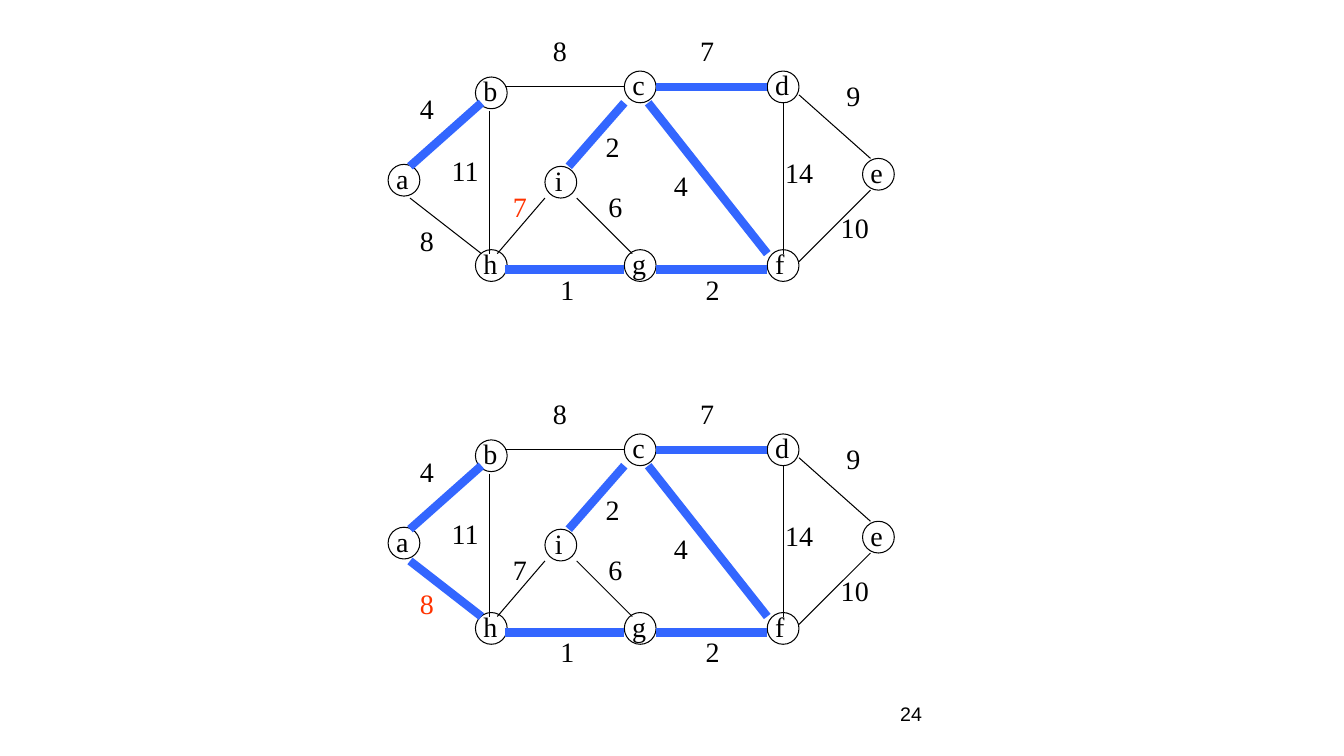
from lxml.etree import SubElement
from pptx import Presentation
from pptx.dml.color import RGBColor
from pptx.enum.shapes import MSO_CONNECTOR as Connector, MSO_SHAPE as Shape
from pptx.enum.text import MSO_ANCHOR as Anchor, MSO_AUTO_SIZE as AutoSize
from pptx.oxml.ns import qn
from pptx.util import Inches, Pt

COLORS = {"ink": "000000", "tree": "3366FF", "current": "FF3300"}
SLIDE_W, SLIDE_H = 13.33, 7.5

# Each graph lies on a grid 64 columns wide; a node's position is its centre.
COLUMNS = 64
ORIGIN = (3, 7.4)
NODE_SIZE = 4
NODES = {
    "a": (-0.75, 11.75), "b": (10.25, 0.75), "h": (10.25, 22.5),
    "c": (29, 0), "d": (47, 0), "e": (59, 11),
    "f": (47, 22.5), "g": (29, 22.5), "i": (19, 12),
}
NODE_LABEL_WIDTHS = {"a": 0.32, "c": 0.32, "e": 0.32, "f": 0.29, "i": 0.28}
# Edge: (start, end, weight, top left of the weight)
EDGES = {
    "ab": ((0, 10), (9, 2), 4, (0, 0)),
    "ah": ((0, 14), (9, 21), 8, (0, 16.6)),
    "bh": ((10, 3), (10, 21), 11, (4, 7.75)),
    "bc": ((12, 0), (27, 0), 8, (16.75, -7.4)),
    "hg": ((12, 23), (27, 23), 1, (17.7, 22.7)),
    "gf": ((31, 23), (45, 23), 2, (36, 22.7)),
    "cf": ((30, 2), (45, 21), 4, (32, 9.7)),
    "cd": ((31, 0), (45, 0), 7, (35.3, -7.4)),
    "df": ((47, 2), (47, 21), 14, (46, 8)),
    "de": ((49, 1), (58, 9), 9, (53.7, -1.7)),
    "fe": ((49, 22), (58, 13), 10, (53, 15)),
    "ig": ((21, 14), (28, 21), 6, (23.75, 12.3)),
    "hi": ((11, 21), (17, 14), 7, (11.7, 12.3)),
    "ic": ((20, 10), (27, 2), 2, (23.4, 4.7)),
}
TREE = {"ab", "hg", "gf", "cf", "cd", "ic"}


def rgb(name):
    return RGBColor.from_string(COLORS[name])


def add_text(shapes, text, x, y, width, height, color="ink",
             font="Times New Roman", size=20):
    box = shapes.add_textbox(Inches(x), Inches(y), Inches(width), Inches(height))
    run = box.text_frame.paragraphs[0].add_run()
    run.text = text
    run.font.name = font
    run.font.size = Pt(size)
    run.font.color.rgb = rgb(color)
    return box.text_frame


def add_label(shapes, text, x, y, width, color="ink"):
    """Add a one-line label whose box hugs its text."""
    frame = add_text(shapes, text, x, y, width, 0.44, color)
    frame.word_wrap = False
    frame.auto_size = AutoSize.SHAPE_TO_FIT_TEXT


def add_edge(shapes, start, end, in_tree):
    edge = shapes.add_connector(Connector.STRAIGHT, *map(Inches, start + end))
    edge.line.color.rgb = rgb("tree" if in_tree else "ink")
    edge.line.width = Pt(6 if in_tree else 0.75)
    SubElement(edge._element.spPr, qn("a:effectLst"))


def add_node(shapes, name, x, y, diameter):
    """Add a ringed letter; x and y are the ring's top left corner."""
    nudge = 0 if name == "i" else 0.02
    add_label(shapes, name, x - nudge, y - 0.08, NODE_LABEL_WIDTHS.get(name, 0.34))
    ring = shapes.add_shape(Shape.OVAL, *map(Inches, (x, y, diameter, diameter)))
    ring.shadow.inherit = False
    ring.fill.background()
    ring.line.color.rgb = rgb("ink")
    ring.line.width = Pt(0.75)


def add_graph(slide, left, top, width, tree, current):
    """Draw the weighted graph with its tree edges and the current edge's weight marked."""
    shapes = slide.shapes.add_group_shape().shapes
    unit = width / COLUMNS

    def place(point):
        return (left + (ORIGIN[0] + point[0]) * unit,
                top + (ORIGIN[1] + point[1]) * unit)

    for name, (column, row) in NODES.items():
        corner = place((column - NODE_SIZE / 2, row - NODE_SIZE / 2))
        add_node(shapes, name, *corner, NODE_SIZE * unit)
    for name, (start, end, _, _) in EDGES.items():
        add_edge(shapes, place(start), place(end), name in tree)
    for name, (_, _, weight, spot) in EDGES.items():
        add_label(shapes, str(weight), *place(spot), 0.34 if weight < 10 else 0.48,
                  "current" if name == current else "ink")


def add_page_number(slide, number, x, y, width, height):
    frame = add_text(slide.shapes, number, x, y, width, height, font="Arial", size=14)
    frame.word_wrap = True
    frame.vertical_anchor = Anchor.MIDDLE


def main():
    deck = Presentation()
    deck.slide_width, deck.slide_height = Inches(SLIDE_W), Inches(SLIDE_H)
    slide = deck.slides.add_slide(deck.slide_layouts[6])
    add_page_number(slide, "24", 8.83, 6.83, 2.08, 0.5)
    steps = [(TREE, "hi"), (TREE | {"ah"}, "ah")]
    for step, (tree, current) in enumerate(steps):
        add_graph(slide, 3.83, 0.28 + step * 3.6, 5.04, tree, current)
    deck.save("out.pptx")


if __name__ == "__main__":
    main()
